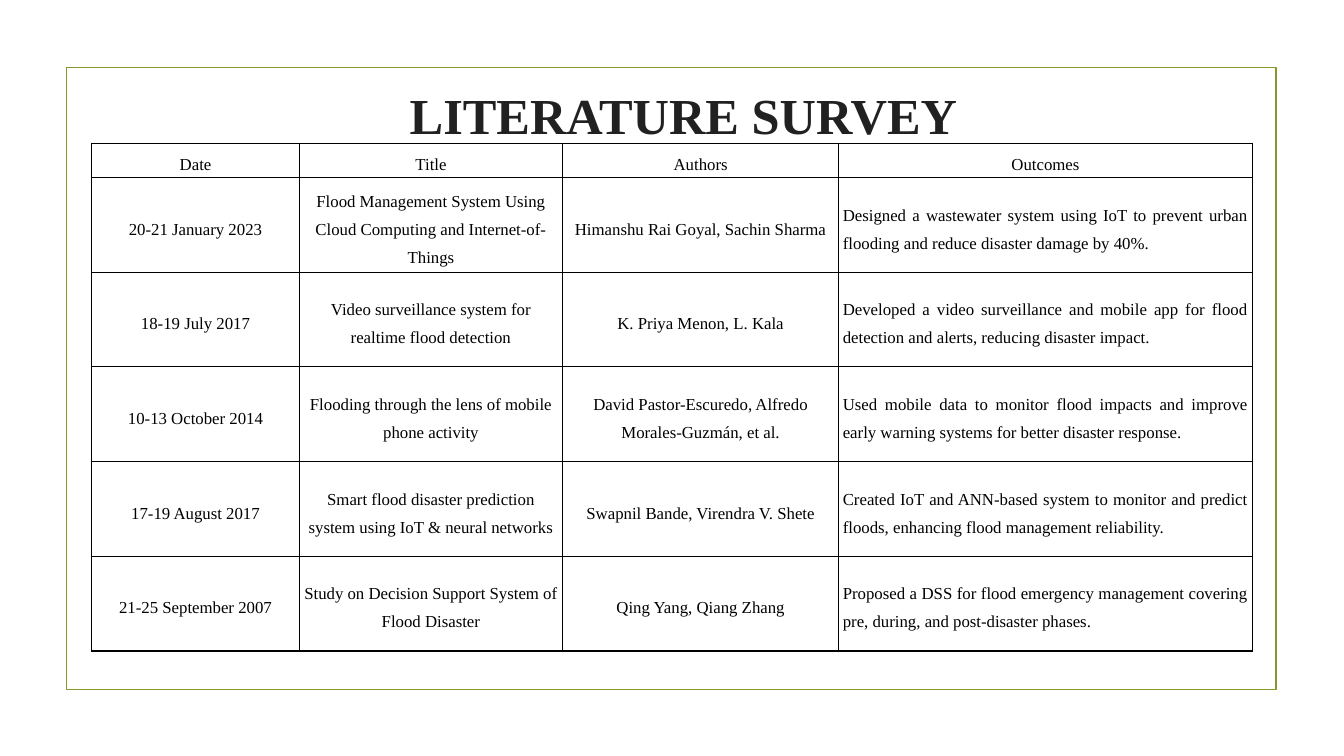
from dataclasses import dataclass

from lxml.etree import SubElement
from pptx import Presentation
from pptx.dml.color import RGBColor
from pptx.enum.shapes import MSO_SHAPE
from pptx.enum.text import MSO_ANCHOR, PP_ALIGN
from pptx.oxml.ns import qn
from pptx.util import Pt

EMU_PER_PX = 9144


def px(length):
    """Turn whole px, 100 to the inch, into EMU."""
    return length * EMU_PER_PX


@dataclass(frozen=True)
class Theme:
    """Colours, font and sizes of the slide."""
    font: str = "Times New Roman"
    frame: str = "83992A"
    title: str = "212121"
    ink: str = "000000"
    title_size: int = 36
    cell_size: int = 12
    frame_width: float = 1.25
    border_width: int = 1


class SurveySlide:
    """Draws framed, titled tables on one slide."""

    def __init__(self, slide, theme):
        """Keep the slide and its style."""
        self.slide = slide
        self.theme = theme

    def style(self, paragraph, size, color, alignment, spacing, bold=False):
        """Set the look of one paragraph."""
        paragraph.alignment = alignment
        paragraph.line_spacing = spacing
        font = paragraph.font
        font.name = self.theme.font
        font.size = Pt(size)
        font.bold = bold
        font.color.rgb = RGBColor.from_string(color)

    def frame(self, left, top, width, height):
        """Draw an unfilled outline."""
        shape = self.slide.shapes.add_shape(
            MSO_SHAPE.RECTANGLE, px(left), px(top), px(width), px(height))
        shape.shadow.inherit = False
        shape.fill.background()
        shape.line.color.rgb = RGBColor.from_string(self.theme.frame)
        shape.line.width = Pt(self.theme.frame_width)

    def title(self, text, left, top, width, height, indent):
        """Add the centred heading."""
        box = self.slide.shapes.add_textbox(px(left), px(top), px(width), px(height))
        text_frame = box.text_frame
        text_frame.word_wrap = True
        text_frame.margin_top = px(13)
        paragraph = text_frame.paragraphs[0]
        paragraph.text = text
        paragraph._p.get_or_add_pPr().set("marL", str(px(indent)))
        self.style(paragraph, self.theme.title_size, self.theme.title,
                   PP_ALIGN.CENTER, 1.7, bold=True)

    def borders(self, cell):
        """Line all four sides of a cell."""
        properties = cell._tc.get_or_add_tcPr()
        for side in ("a:lnL", "a:lnR", "a:lnT", "a:lnB"):
            line = SubElement(properties, qn(side), w=str(Pt(self.theme.border_width)))
            fill = SubElement(line, qn("a:solidFill"))
            SubElement(fill, qn("a:srgbClr"), val=self.theme.ink)

    def cell(self, cell, text, alignment):
        """Fill in one table cell."""
        self.borders(cell)
        cell.fill.background()
        cell.vertical_anchor = MSO_ANCHOR.MIDDLE
        cell.margin_left = cell.margin_right = px(4)
        cell.margin_top = cell.margin_bottom = px(2)
        paragraph = cell.text_frame.paragraphs[0]
        paragraph.text = text
        self.style(paragraph, self.theme.cell_size, self.theme.ink, alignment, 1.5)

    def table(self, records, left, top, widths, heights):
        """Add a bordered table with its last column justified below the header."""
        table = self.slide.shapes.add_table(
            len(heights), len(widths), px(left), px(top),
            px(sum(widths)), px(sum(heights))).table
        table.horz_banding = False
        for column, width in zip(table.columns, widths):
            column.width = px(width)
        for row, height in zip(table.rows, heights):
            row.height = px(height)
        for row_index, record in enumerate(records):
            for column_index, text in enumerate(record):
                justified = row_index > 0 and column_index == len(widths) - 1
                self.cell(table.cell(row_index, column_index), text,
                          PP_ALIGN.JUSTIFY if justified else PP_ALIGN.CENTER)


SURVEY = [
    ("Date", "Title", "Authors", "Outcomes"),
    ("20-21 January 2023",
     "Flood Management System Using Cloud Computing and Internet-of-Things",
     "Himanshu Rai Goyal, Sachin Sharma",
     "Designed a wastewater system using IoT to prevent urban flooding "
     "and reduce disaster damage by 40%."),
    ("18-19 July 2017",
     "Video surveillance system for realtime flood detection",
     "K. Priya Menon, L. Kala",
     "Developed a video surveillance and mobile app for flood detection "
     "and alerts, reducing disaster impact."),
    ("10-13 October 2014",
     "Flooding through the lens of mobile phone activity",
     "David Pastor-Escuredo, Alfredo Morales-Guzmán, et al.",
     "Used mobile data to monitor flood impacts and improve early warning "
     "systems for better disaster response."),
    ("17-19 August 2017",
     "Smart flood disaster prediction system using IoT & neural networks",
     "Swapnil Bande, Virendra V. Shete",
     "Created IoT and ANN-based system to monitor and predict floods, "
     "enhancing flood management reliability."),
    ("21-25 September 2007",
     "Study on Decision Support System of Flood Disaster",
     "Qing Yang, Qiang Zhang",
     "Proposed a DSS for flood emergency management covering pre, during, "
     "and post-disaster phases."),
]


def main():
    """Build and save the slide."""
    presentation = Presentation()
    presentation.slide_width = px(1333)
    presentation.slide_height = px(750)
    slide = presentation.slides.add_slide(presentation.slide_layouts[6])
    survey = SurveySlide(slide, Theme())
    survey.frame(66, 67, 1200, 617)
    survey.title("LITERATURE SURVEY", 158, 28, 940, 102, indent=100)
    survey.table(SURVEY, 91, 142, widths=[206, 261, 274, 410],
                 heights=[24] + [94] * (len(SURVEY) - 1))
    presentation.save("out.pptx")


if __name__ == "__main__":
    main()
